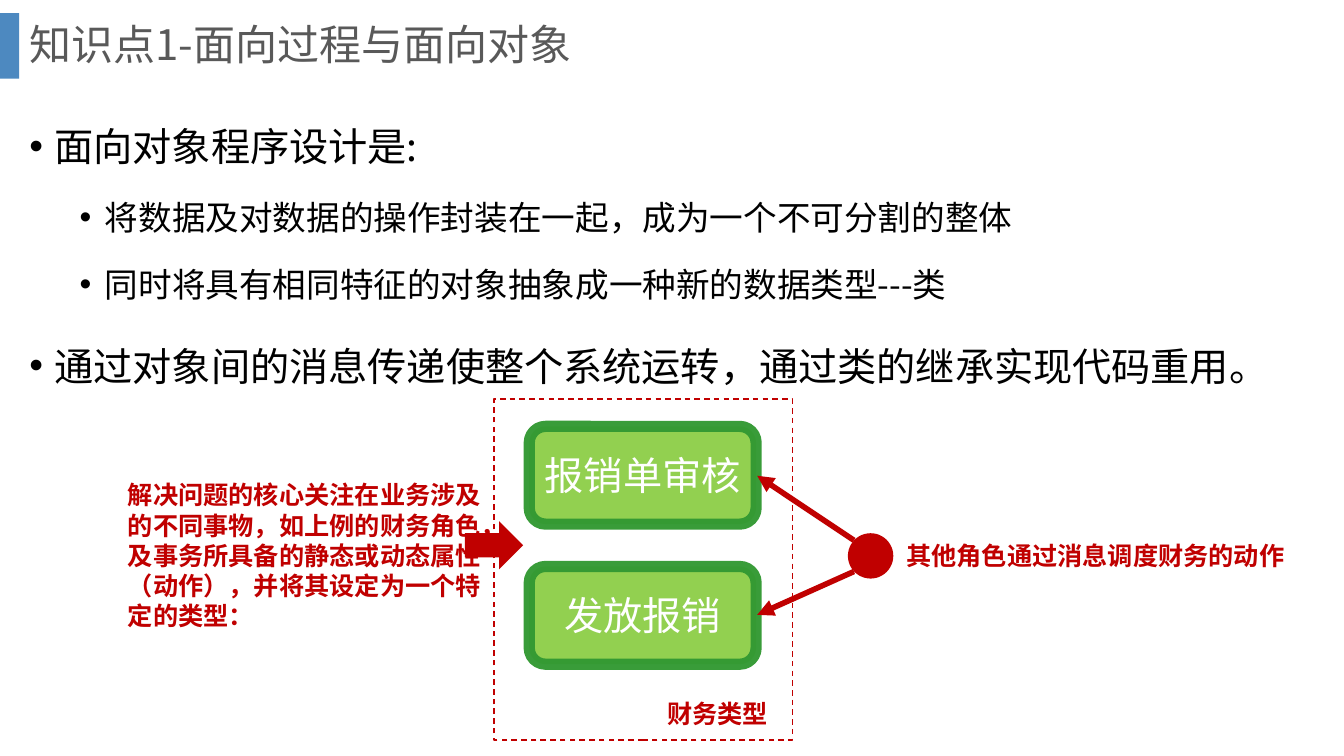
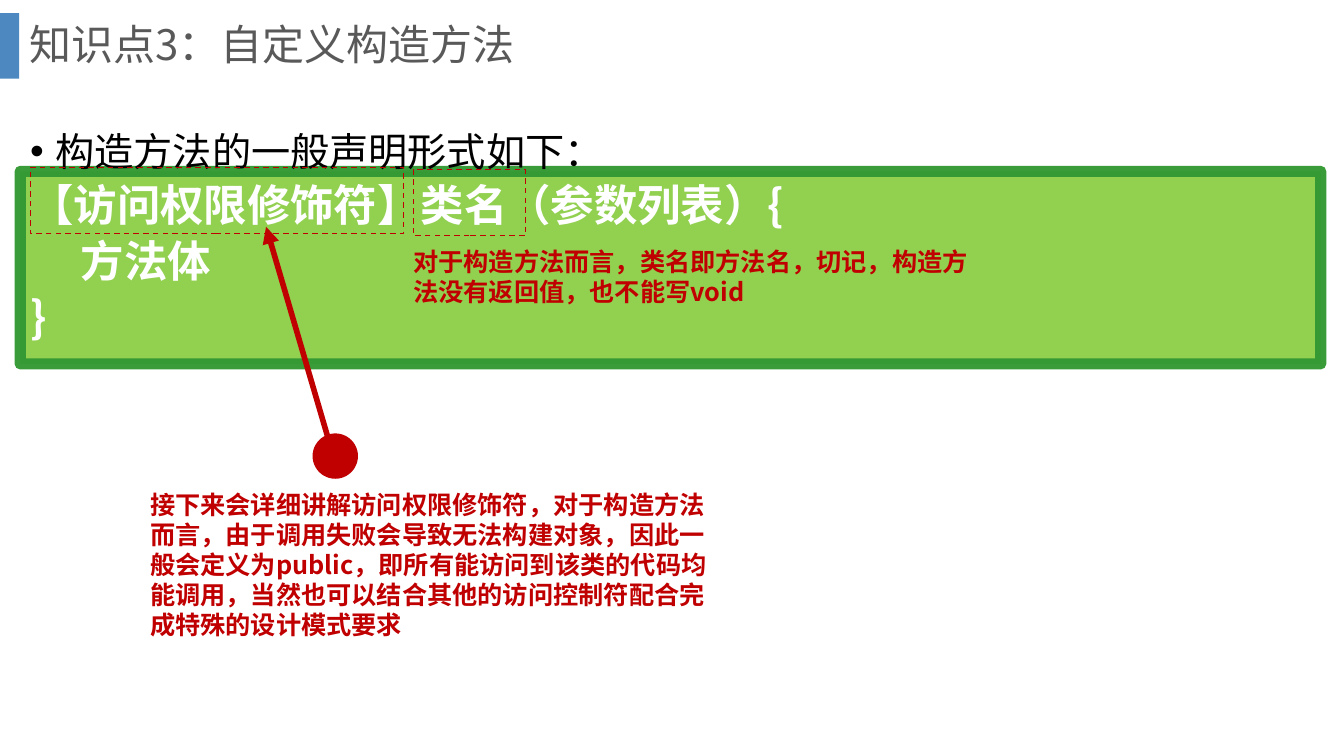
from lxml import etree
from pptx import Presentation
from pptx.dml.color import RGBColor
from pptx.enum.dml import MSO_LINE
from pptx.enum.shapes import MSO_CONNECTOR, MSO_SHAPE as SHAPE
from pptx.enum.text import MSO_ANCHOR as ANCHOR, MSO_AUTO_SIZE as FIT, PP_ALIGN as ALIGN
from pptx.oxml.ns import qn
from pptx.util import Inches, Pt

FONT = "Noto Sans CJK SC"
GREY = RGBColor(0x59, 0x59, 0x59)
BLACK = RGBColor(0x00, 0x00, 0x00)
WHITE = RGBColor(0xFF, 0xFF, 0xFF)
BLUE = RGBColor(0x2E, 0x75, 0xB6)
RED = RGBColor(0xC0, 0x00, 0x00)
LIME = RGBColor(0x92, 0xD0, 0x50)
GREEN = RGBColor(0x33, 0x99, 0x33)

deck = Presentation()
deck.slide_width, deck.slide_height = Inches(13.33), Inches(7.5)
# The grid has 100 columns and 100 rows
COL, ROW = deck.slide_width / 100, deck.slide_height / 100

# Text formats: font values, and paragraph values for the placeholders
TITLE = {"size": Pt(30), "color": GREY, "bold": False}
NOTE = {"size": Pt(18), "color": RED, "bold": True}
LABEL = {"size": Pt(28), "color": WHITE, "bold": False}
POINT = {"size": Pt(28), "color": BLACK, "bold": False}
SUBPOINT = {**POINT, "size": Pt(24)}
CODE = {"size": Pt(31), "color": WHITE, "bold": True}
# Each list style: font, level, left margin, indent, line spacing, space before, bullet
LISTS = {
    "point": (POINT, 0, 0.25, -0.25, 1.5, 10, "•"),
    "subpoint": (SUBPOINT, 1, 0.75, -0.25, 1.5, 5, "•"),
    "code": (CODE, 0, 0, 0, 0.8, 10, None),
    "code body": (CODE, 1, 0.5, 0, 0.8, 10, None),
}
DOT = (3.38, 6)
BOX = (16.88, 12.93)

PAGES = [
    {
        "title": "知识点1-面向过程与面向对象",
        "body": (1.43, 12.4, 96.85, 79.87),
        "list": [
            ("point", "面向对象程序设计是:"),
            ("subpoint", "将数据及对数据的操作封装在一起，成为一个不可分割的整体"),
            ("subpoint", "同时将具有相同特征的对象抽象成一种新的数据类型---类"),
            ("point", "通过对象间的消息传递使整个系统运转，通过类的继承实现代码重用。"),
        ],
        "boxes": [(SHAPE.ROUNDED_RECTANGLE, (39.38, 56.4, *BOX), "报销单审核"),
                  (SHAPE.ROUNDED_RECTANGLE, (39.38, 74.93, *BOX), "发放报销")],
        "frames": [(36.76, 52.8, 22.21, 45.07)],
        "notes": [
            ((8.78, 62.8, 27.76, 21.6),
             "解决问题的核心关注在业务涉及的不同事物，如上例的财务角色，"
             "及事务所具备的静态或动态属性（动作），并将其设定为一个特定的类型："),
            ((48.91, 91.73, 10.05, 5.33), "财务类型"),
            ((66.69, 70.8, 31.28, 5.33), "其他角色通过消息调度财务的动作"),
        ],
        "marks": [(SHAPE.RIGHT_ARROW, (34.58, 68.93, 4.35, 6.4)),
                  (SHAPE.OVAL, (63.09, 70.53, *DOT))],
        "arrows": [(63.54, 71.47, 56.34, 62.93), (63.54, 75.6, 56.34, 81.33)],
    },
    {
        "title": "知识点3：自定义构造方法",
        "body": (1.5, 13.07, 96.77, 79.47),
        "list": [
            ("point", "构造方法的一般声明形式如下："),
            ("code", "【访问权限修饰符】类名（参数列表）{"),
            ("code body", "方法体"),
            ("code", "}"),
        ],
        "boxes": [(SHAPE.RECTANGLE, (1.5, 22.67, 96.77, 25.47), "")],
        "frames": [(2.25, 22.13, 27.76, 8.8), (30.76, 22.4, 8.33, 8.8)],
        "notes": [
            ((10.43, 64, 44.34, 21.6),
             "接下来会详细讲解访问权限修饰符，对于构造方法而言，由于调用失败会导致无法构建对象，"
             "因此一般会定义为public，即所有能访问到该类的代码均能调用，"
             "当然也可以结合其他的访问控制符配合完成特殊的设计模式要求"),
            ((30.01, 31.87, 44.34, 9.47),
             "对于构造方法而言，类名即方法名，切记，构造方法没有返回值，也不能写void"),
        ],
        "marks": [(SHAPE.OVAL, (23.26, 57.33, *DOT))],
        "arrows": [(24.53, 58.67, 19.8, 30)],
    },
]


def grid(x, y, width, height):
    return [round(n) for n in (x * COL, y * ROW, width * COL, height * ROW)]


def write(para, text, style):
    span = para.add_run()
    span.text = text
    span.font.name = FONT
    span.font.color.rgb = style["color"]
    for key in ("size", "bold"):
        setattr(span.font, key, style[key])
    etree.SubElement(span.font._element, qn("a:ea"), typeface=FONT)


layout = deck.slide_layouts[1]
layout.placeholders[0].left, layout.placeholders[0].top, \
    layout.placeholders[0].width, layout.placeholders[0].height = grid(1.43, 0, 94.97, 12.4)

for content in PAGES:
    page = deck.slides.add_slide(layout)
    shapes = page.shapes

    # Title
    frame = shapes.title.text_frame
    frame.vertical_anchor, frame.auto_size = ANCHOR.MIDDLE, FIT.NONE
    para = frame.paragraphs[0]
    para.alignment, para.line_spacing = ALIGN.LEFT, 0.9
    write(para, content["title"], TITLE)

    # List
    body = page.placeholders[1]
    body.left, body.top, body.width, body.height = grid(*content["body"])
    frame = body.text_frame
    frame.auto_size = FIT.NONE
    for number, (kind, text) in enumerate(content["list"]):
        style, level, margin, indent, spacing, before, bullet = LISTS[kind]
        para = frame.add_paragraph() if number else frame.paragraphs[0]
        para.level, para.line_spacing, para.space_before = level, spacing, Pt(before)
        props = para._p.get_or_add_pPr()
        props.set("marL", str(Inches(margin)))
        props.set("indent", str(Inches(indent)))
        if bullet:
            etree.SubElement(props, qn("a:buFont"), typeface="Arial")
            etree.SubElement(props, qn("a:buChar"), char=bullet)
        else:
            etree.SubElement(props, qn("a:buNone"))
        write(para, text, style)

    # Green boxes, behind the list text
    for order, (kind, place, text) in enumerate(content["boxes"]):
        box = shapes.add_shape(kind, *grid(*place))
        box.shadow.inherit = False
        box.fill.solid()
        box.fill.fore_color.rgb = LIME
        box.line.color.rgb = GREEN
        box.line.width = Pt(8)
        color = box.line._ln.find(".//" + qn("a:srgbClr"))
        etree.SubElement(color, qn("a:alpha"), val="96000")
        if text:
            box.text_frame.word_wrap = False
            box.text_frame.vertical_anchor = ANCHOR.MIDDLE
            box.text_frame.paragraphs[0].alignment = ALIGN.CENTER
            write(box.text_frame.paragraphs[0], text, LABEL)
        shapes.element.insert(2 + order, box.element)

    # Dashed frames
    for place in content["frames"]:
        box = shapes.add_shape(SHAPE.RECTANGLE, *grid(*place))
        box.shadow.inherit = False
        box.fill.background()
        box.line.color.rgb = RED
        box.line.width = Pt(1)
        box.line.dash_style = MSO_LINE.DASH

    # Red notes
    for place, text in content["notes"]:
        box = shapes.add_textbox(*grid(*place))
        box.text_frame.word_wrap = True
        write(box.text_frame.paragraphs[0], text, NOTE)

    # Block arrow and dots
    for kind, place in content["marks"]:
        mark = shapes.add_shape(kind, *grid(*place))
        mark.shadow.inherit = False
        mark.fill.solid()
        mark.fill.fore_color.rgb = RED
        mark.line.fill.background()

    # Arrows from the dots
    for ends in content["arrows"]:
        arrow = shapes.add_connector(MSO_CONNECTOR.STRAIGHT, *grid(*ends))
        arrow.line.color.rgb = RED
        arrow.line.width = Pt(4)
        etree.SubElement(arrow.line._ln, qn("a:tailEnd"), type="triangle")
        etree.SubElement(arrow.element.spPr, qn("a:effectLst"))

# Blue bar, moved to the layout so that all pages share it
bar = page.shapes.add_shape(SHAPE.RECTANGLE, *grid(0, 1.73, 1.43, 8.67))
bar.shadow.inherit = False
bar.fill.solid()
bar.fill.fore_color.rgb = BLUE
bar.line.fill.background()
etree.SubElement(bar.element.spPr.find(".//" + qn("a:srgbClr")), qn("a:alpha"), val="85000")
layout.shapes.element.append(bar.element)

deck.save("out.pptx")
